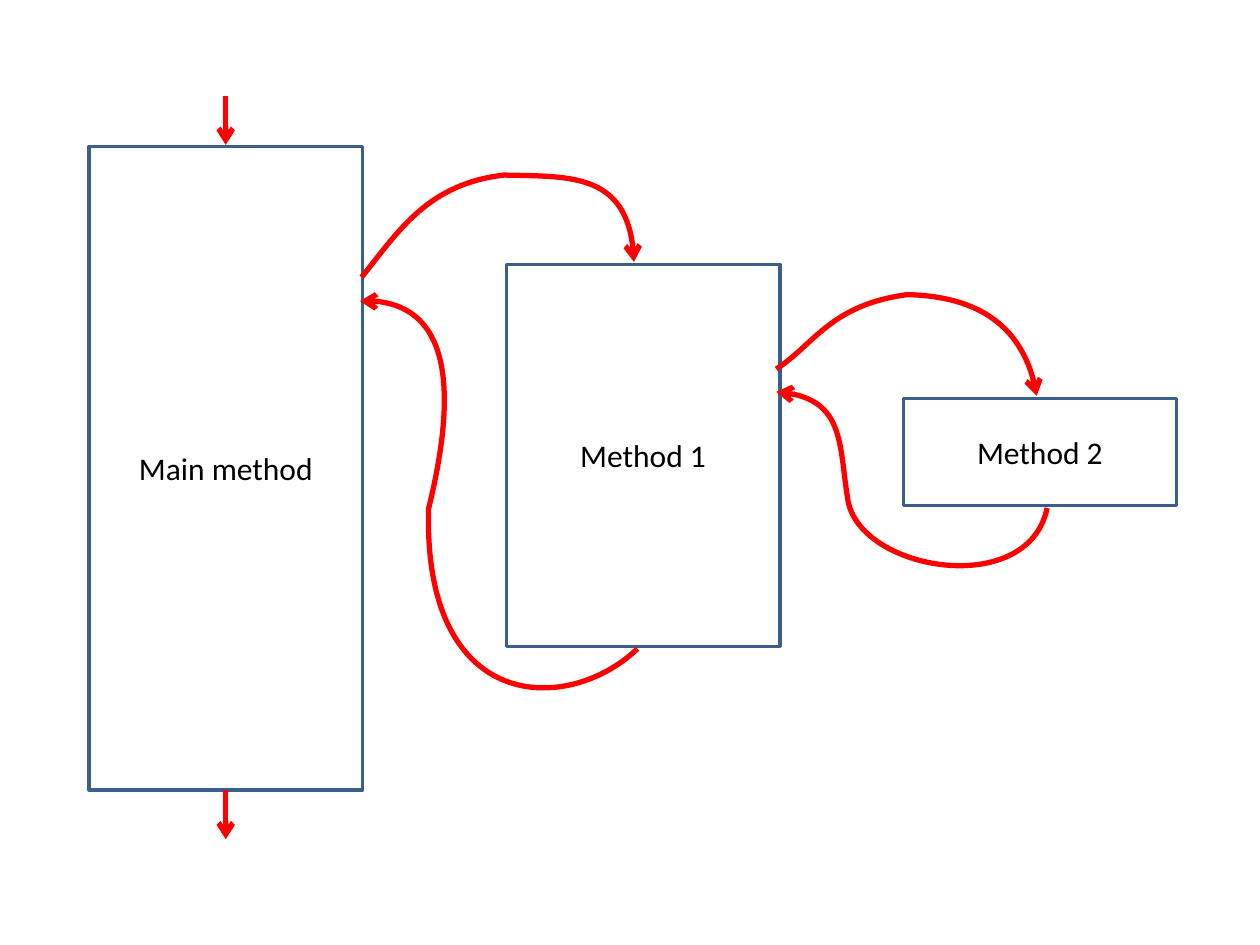
from lxml import etree
from pptx import Presentation
from pptx.dml.color import RGBColor
from pptx.enum import shapes, text
from pptx.oxml.ns import qn
from pptx.util import Cm, Pt

HUES = {"edge": "3A5F8C", "flow": "FF0000", "text": "000000"}
FONT = {"name": "Calibri", "size": Pt(18)}
WIDE = 5.51
AXIS = 4.55  # centre line of the main method

# label, left, top, height in cm
BOXES = [
    ("Main method", 1.8, 2.95, 12.98),
    ("Method 1", 10.21, 5.33, 7.7),
    ("Method 2", 18.21, 8.03, 2.16),
]

# tops of the entry and exit arrows
STEPS = [1.93, 15.93]

# start, then two Bezier pieces of three points each, in cm
CALLS = [
    [(12.85, 13.08), (11.48, 14.4), (8.53, 14.43), (8.64, 10.26),
     (9.37, 7.29), (8.66, 5.97), (7.26, 6.07)],
    [(7.29, 5.59), (8.03, 4.67), (8.61, 3.71), (10.16, 3.53),
     (11.46, 3.56), (12.73, 3.48), (12.78, 5.28)],
    [(15.65, 7.44), (16.43, 6.93), (16.74, 6.15), (18.29, 5.94),
     (19.58, 5.97), (20.68, 6.55), (20.9, 7.98)],
    [(21.11, 10.24), (20.73, 12.09), (17.3, 11.51), (17.09, 10.06),
     (16.92, 9.02), (17.04, 7.98), (15.65, 7.9)],
]


def tint(name):
    return RGBColor.from_string(HUES[name])


def stroke(line, hue, size):
    line.color.rgb = tint(hue)
    line.width = Pt(size)


def arrow(shape):
    """Red line with an open head at its end."""
    stroke(shape.line, "flow", 3)
    ln = shape.line._get_or_add_ln()
    etree.SubElement(ln, qn("a:tailEnd"), type="arrow")


def box(slide, label, left, top, high):
    shape = slide.shapes.add_shape(
        shapes.MSO_SHAPE.FLOWCHART_PROCESS,
        Cm(left), Cm(top), Cm(WIDE), Cm(high))
    shape.shadow.inherit = False
    shape.fill.background()
    stroke(shape.line, "edge", 2)
    frame = shape.text_frame
    frame.vertical_anchor = text.MSO_ANCHOR.MIDDLE
    para = frame.paragraphs[0]
    para.alignment = text.PP_ALIGN.CENTER
    run = para.add_run()
    run.text = label
    for key, value in FONT.items():
        setattr(run.font, key, value)
    run.font.color.rgb = tint("text")


def step(slide, top):
    line = slide.shapes.add_connector(
        shapes.MSO_CONNECTOR.STRAIGHT,
        Cm(AXIS), Cm(top), Cm(AXIS), Cm(top + 0.99))
    arrow(line)
    etree.SubElement(line._element.spPr, qn("a:effectLst"))


def sample(piece, count=24):
    """Points along one cubic Bezier piece."""
    for i in range(count + 1):
        t = i / count
        s = 1 - t
        parts = (s ** 3, 3 * s * s * t, 3 * s * t * t, t ** 3)
        yield tuple(sum(w * p[k] for w, p in zip(parts, piece))
                    for k in (0, 1))


def curve(slide, nodes):
    # The sampled outline sets the true bounds of the shape
    trace = [(Cm(x), Cm(y)) for i in range(0, len(nodes) - 1, 3)
             for x, y in sample(nodes[i:i + 4])]
    form = slide.shapes.build_freeform(*trace[0])
    form.add_line_segments(trace[1:], close=False)
    shape = form.convert_to_shape()
    shape.shadow.inherit = False
    shape.fill.background()
    arrow(shape)

    # Smooth Bezier pieces take the place of the straight segments
    track = shape._element.spPr.find(".//" + qn("a:path"))
    for item in list(track):
        track.remove(item)
    for i, (x, y) in enumerate(nodes):
        if i == 0:
            part = etree.SubElement(track, qn("a:moveTo"))
        elif i % 3 == 1:
            part = etree.SubElement(track, qn("a:cubicBezTo"))
        etree.SubElement(part, qn("a:pt"), x=str(Cm(x) - shape.left),
                         y=str(Cm(y) - shape.top))


def main():
    deck = Presentation()
    deck.slide_width, deck.slide_height = Cm(25.4), Cm(19.05)
    slide = deck.slides.add_slide(deck.slide_layouts[6])
    # Method boxes
    for row in BOXES:
        box(slide, *row)
    # Entry and exit
    for top in STEPS:
        step(slide, top)
    # Calls and returns
    for nodes in CALLS:
        curve(slide, nodes)
    deck.save("out.pptx")


main()
